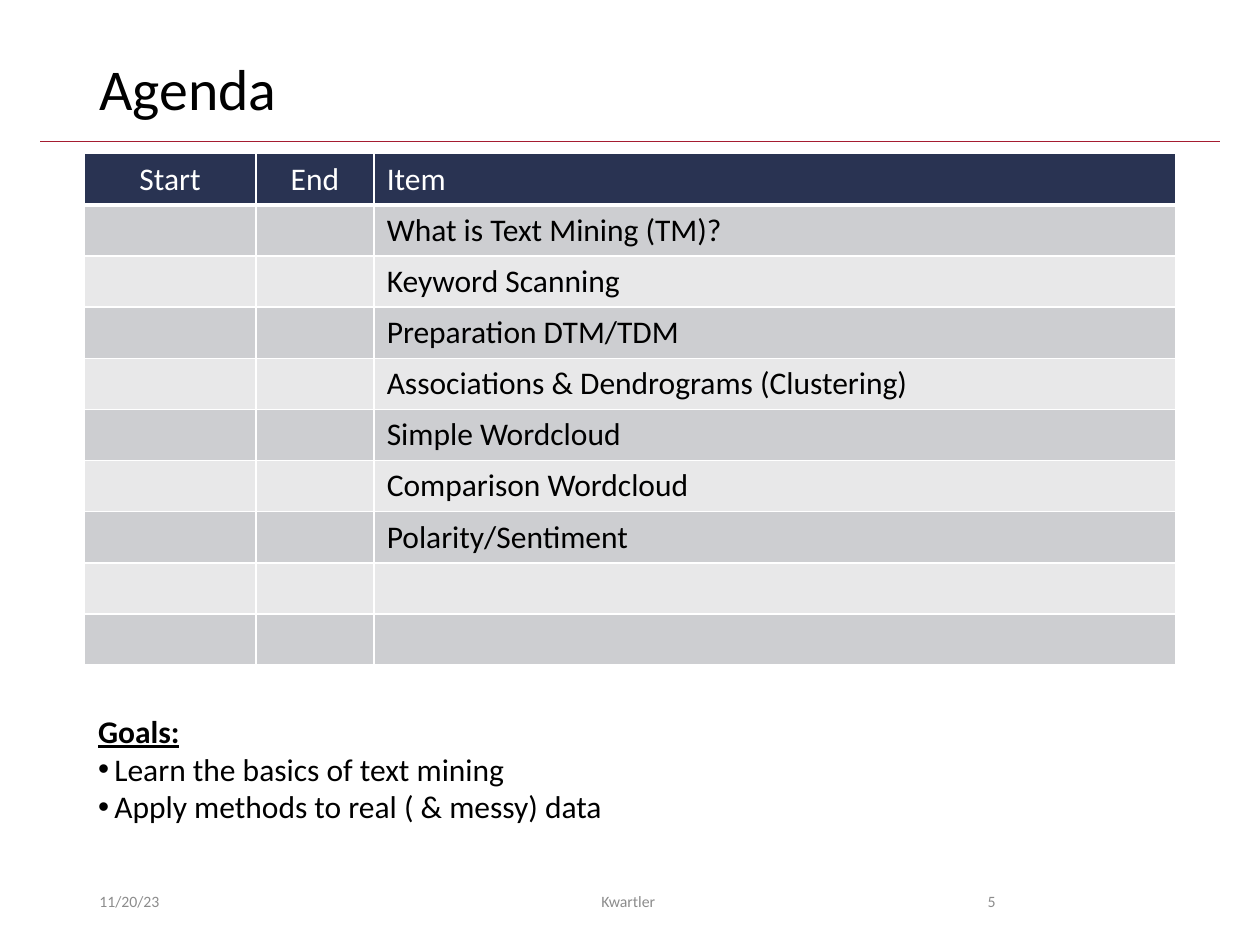
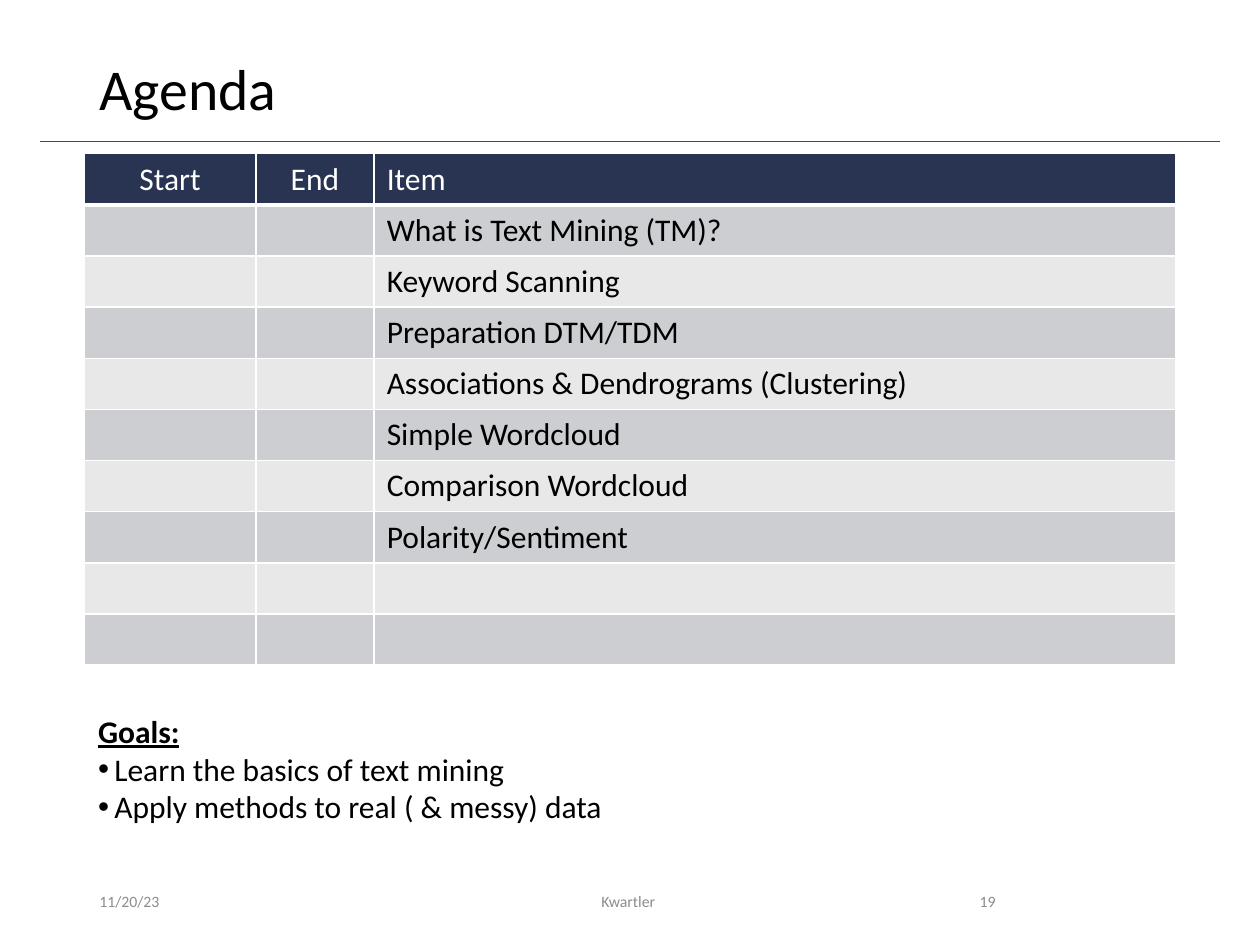
from lxml import etree
from pptx import Presentation
from pptx.dml.color import RGBColor
from pptx.enum import shapes, text
from pptx.oxml import ns
from pptx.util import Inches, Pt

# Content
TITLE = "Agenda"
HEADS = ["Start", "End", "Item"]
ITEMS = [
    "What is Text Mining (TM)?",
    "Keyword Scanning",
    "Preparation DTM/TDM",
    "Associations & Dendrograms (Clustering)",
    "Simple Wordcloud",
    "Comparison Wordcloud",
    "Polarity/Sentiment",
    "",
    "",
]
GOALS = ["Goals:", "Learn the basics of text mining",
         "Apply methods to real ( & messy) data"]
DATE, AUTHOR = "11/20/23", "Kwartler "
PAGES = ["5", "19"]

# Style
FONT = "Calibri"
BLACK = RGBColor(0x00, 0x00, 0x00)
WHITE = RGBColor(0xFF, 0xFF, 0xFF)
GREY = RGBColor(0x8C, 0x8C, 0x8C)
RED = RGBColor(0xA5, 0x1C, 0x30)
NAVY = RGBColor(0x29, 0x33, 0x52)
BANDS = [RGBColor(0xCD, 0xCE, 0xD1), RGBColor(0xE8, 0xE8, 0xE9)]
LEFT, CENTER, RIGHT = (text.PP_ALIGN.LEFT, text.PP_ALIGN.CENTER,
                       text.PP_ALIGN.RIGHT)

# Layout, in inches
WIDE, HIGH = 10, 7.5
RULE_X, RULE_Y = 0.32, 1.12
TABLE = (0.67, 1.22, 8.66, 4.06)
COLS = [1.36, 0.94, 6.36]
FOOT_Y, FOOT_H = 6.95, 0.4
INDENT = 0.13


def style(para, size, color, align=LEFT):
    para.alignment = align
    for run in para.runs:
        run.font.name, run.font.size = FONT, Pt(size)
        run.font.color.rgb = color


def add_text(slide, box, lines, size, color, align=LEFT):
    frame = slide.shapes.add_textbox(*map(Inches, box)).text_frame
    frame.word_wrap = True
    frame.vertical_anchor = text.MSO_ANCHOR.MIDDLE
    frame.text = "\n".join(lines)
    for para in frame.paragraphs:
        style(para, size, color, align)
    return frame


def add_rule(slide):
    rule = slide.shapes.add_connector(
        shapes.MSO_CONNECTOR.STRAIGHT, Inches(RULE_X), Inches(RULE_Y),
        Inches(WIDE - RULE_X), Inches(RULE_Y))
    rule.line.color.rgb, rule.line.width = RED, Pt(0.5)
    etree.SubElement(rule._element.spPr, ns.qn("a:effectLst"))


def add_edges(cell, base):
    props = cell._tc.get_or_add_tcPr()
    widths = {"lnL": 1, "lnR": 1, "lnT": 1, "lnB": base}
    for spot, (tag, width) in enumerate(widths.items()):
        edge = etree.Element(ns.qn("a:" + tag), w=str(Pt(width)))
        fill = etree.SubElement(edge, ns.qn("a:solidFill"))
        etree.SubElement(fill, ns.qn("a:srgbClr"), val=str(WHITE))
        props.insert(spot, edge)


def add_agenda(slide):
    rows = [HEADS] + [["", "", item] for item in ITEMS]
    grid = slide.shapes.add_table(
        len(rows), len(COLS), *map(Inches, TABLE)).table
    for col, width in zip(grid.columns, COLS):
        col.width = Inches(width)
    for r, row in enumerate(rows):
        grid.rows[r].height = Inches(TABLE[3] / len(rows))
        for c, words in enumerate(row):
            cell = grid.cell(r, c)
            cell.text = words
            cell.fill.solid()
            cell.fill.fore_color.rgb = BANDS[(r - 1) % 2] if r else NAVY
            style(cell.text_frame.paragraphs[0], 18,
                  BLACK if r else WHITE, CENTER if c < 2 else LEFT)
            add_edges(cell, 1 if r else 3)


def add_goals(slide):
    frame = add_text(slide, (0.68, 5.6, 4.26, 1.01), GOALS, 18, BLACK)
    frame.word_wrap = False
    frame.auto_size = text.MSO_AUTO_SIZE.SHAPE_TO_FIT_TEXT
    frame.vertical_anchor = text.MSO_ANCHOR.TOP
    head, *points = frame.paragraphs
    head.runs[0].font.bold = head.runs[0].font.underline = True
    for para in points:
        props = para._p.get_or_add_pPr()
        props.set("marL", str(Inches(INDENT)))
        props.set("indent", str(-Inches(INDENT)))
        etree.SubElement(props, ns.qn("a:buFont"), typeface="Arial")
        etree.SubElement(props, ns.qn("a:buChar"), char="•")


def add_foot(slide, page):
    parts = [(0.69, 2.25, DATE, LEFT), (7.06, 0.94, page, RIGHT),
             (3.31, 3.38, AUTHOR, CENTER)]
    for x, width, words, align in parts:
        add_text(slide, (x, FOOT_Y, width, FOOT_H), [words], 9, GREY, align)


def main():
    deck = Presentation()
    deck.slide_width, deck.slide_height = Inches(WIDE), Inches(HIGH)
    for page in PAGES:
        slide = deck.slides.add_slide(deck.slide_layouts[6])
        add_rule(slide)
        title = add_text(slide, (0.69, 0.4, 8.62, 0.65), [TITLE], 33, BLACK)
        title.paragraphs[0].line_spacing = 0.9
        add_agenda(slide)
        add_goals(slide)
        add_foot(slide, page)
    deck.save("out.pptx")


if __name__ == "__main__":
    main()
